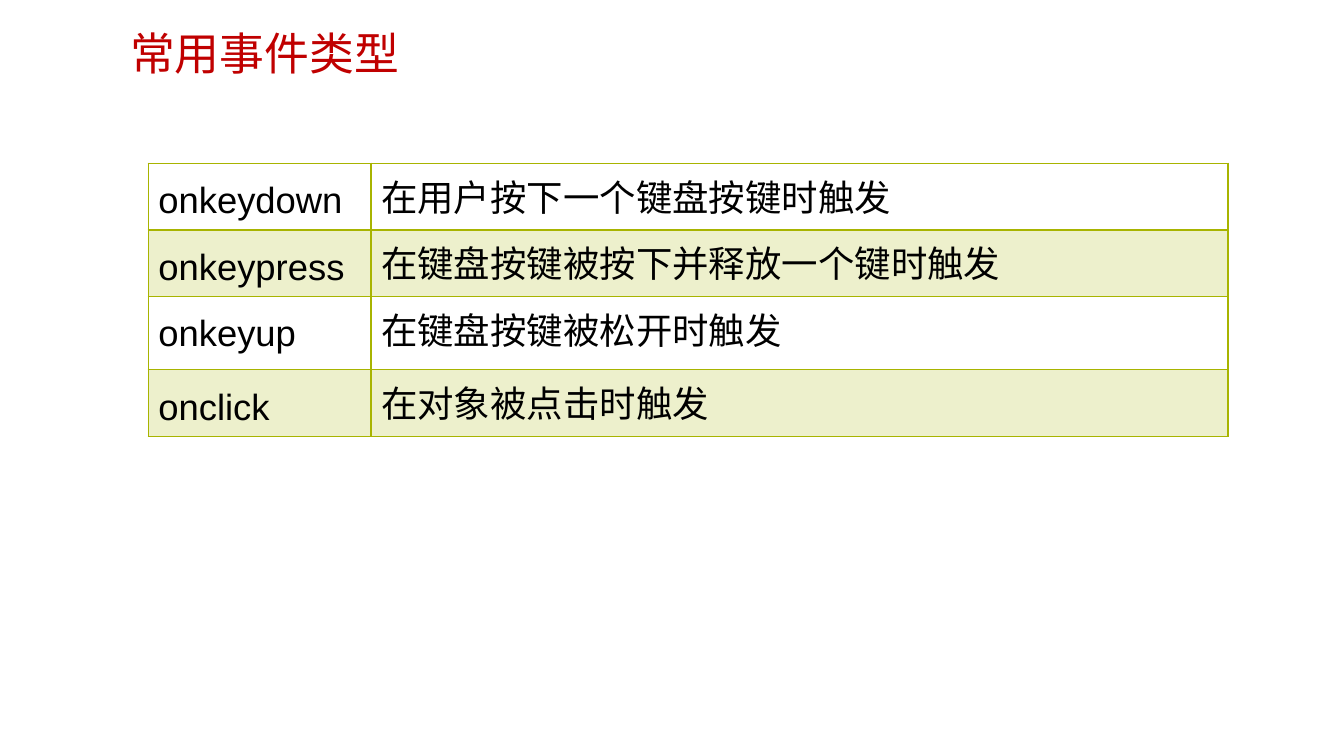
from lxml.etree import SubElement
from pptx import Presentation
from pptx.dml.color import RGBColor
from pptx.enum.text import MSO_ANCHOR, MSO_AUTO_SIZE, PP_ALIGN
from pptx.oxml.ns import qn
from pptx.util import Inches, Pt

CJK = "Noto Sans CJK SC"
OLIVE = "A8B400"


def style_run(r, size, font, color):
    r.font.size = Pt(size)
    r.font.name = font
    r.font.color.rgb = RGBColor.from_string(color)
    SubElement(r.font._element, qn("a:ea"), typeface=CJK)


def add_border(tcPr, side, width):
    ln = SubElement(tcPr, qn(f"a:ln{side}"), w=str(Pt(width)))
    fill = SubElement(ln, qn("a:solidFill"))
    SubElement(fill, qn("a:srgbClr"), val=OLIVE)


prs = Presentation()
prs.slide_width, prs.slide_height = Inches(13.33), Inches(7.5)
s = prs.slides.add_slide(prs.slide_layouts[5])

title = s.shapes.title
title.left, title.top = Inches(1.19), Inches(0.26)
title.width, title.height = Inches(8.96), Inches(0.54)
tf = title.text_frame
tf.text = "常用事件类型"
tf.word_wrap = True
tf.auto_size = MSO_AUTO_SIZE.NONE
tf.vertical_anchor = MSO_ANCHOR.TOP
tf.margin_top = tf.margin_bottom = 0
p = tf.paragraphs[0]
p.alignment = PP_ALIGN.LEFT
style_run(p.runs[0], 32, CJK, "C00000")

events = [
    ("onkeydown", "在用户按下一个键盘按键时触发"),
    ("onkeypress", "在键盘按键被按下并释放一个键时触发"),
    ("onkeyup", "在键盘按键被松开时触发"),
    ("onclick", "在对象被点击时触发"),
]
col_widths = [2.21, 8.5]
row_heights = [0.66, 0.66, 0.73, 0.66]

table = s.shapes.add_table(len(events), 2, Inches(1.47), Inches(1.62),
                           Inches(sum(col_widths)), Inches(sum(row_heights))).table
table.first_row = table.horz_banding = False
for col, width in zip(table.columns, col_widths):
    col.width = Inches(width)

for i, event in enumerate(events):
    table.rows[i].height = Inches(row_heights[i])
    for j, text in enumerate(event):
        cell = table.cell(i, j)
        cell.text = text
        p = cell.text_frame.paragraphs[0]
        p.line_spacing = Pt(38)
        p.space_after = Pt(6)
        style_run(p.runs[0], 26, "Arial", "000000")
        tcPr = cell._tc.get_or_add_tcPr()
        for side in "LRTB":
            heavy = (i, side) in [(0, "B"), (1, "T")]
            add_border(tcPr, side, 2 if heavy else 1)
        if i % 2:
            cell.fill.solid()
            cell.fill.fore_color.rgb = RGBColor.from_string(OLIVE)
            color = tcPr.find(qn("a:solidFill")).find(qn("a:srgbClr"))
            SubElement(color, qn("a:alpha"), val="20000")
        else:
            cell.fill.background()

prs.save("out.pptx")
